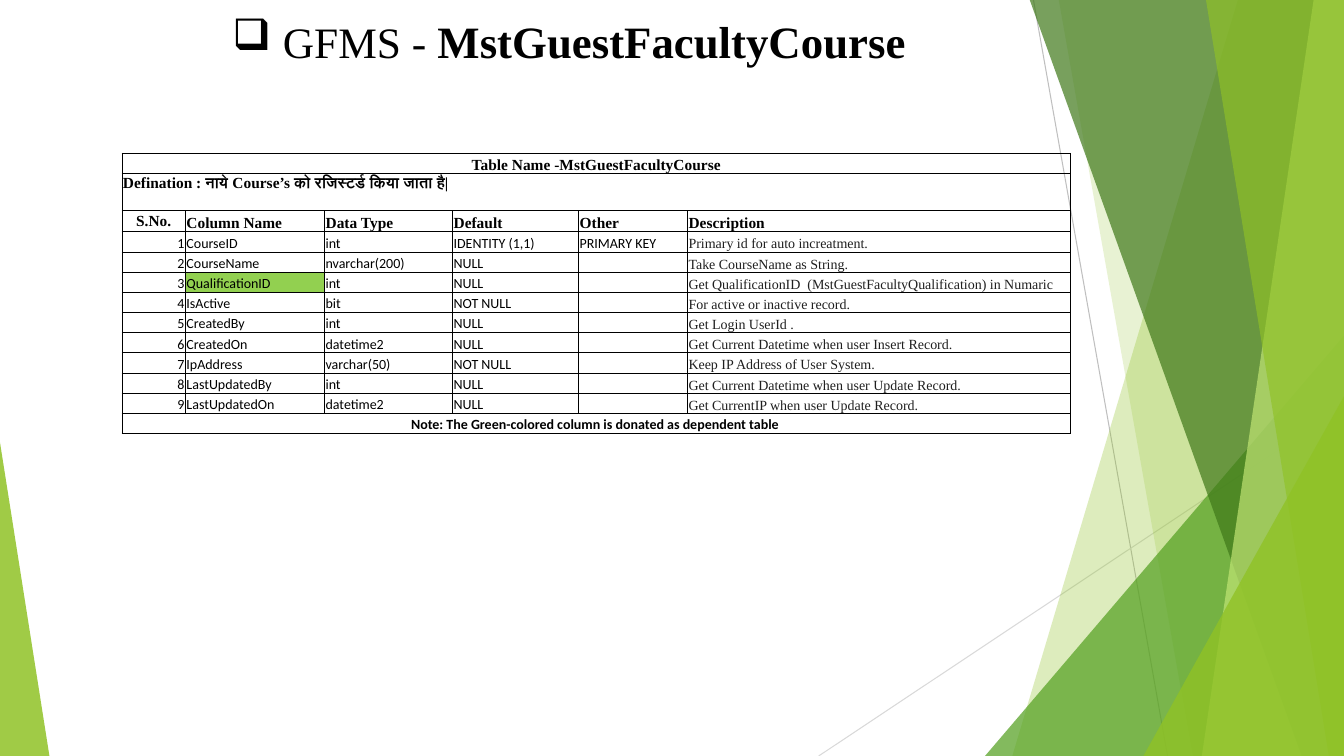
from dataclasses import dataclass

from lxml import etree
from pptx import Presentation
from pptx.dml.color import RGBColor
from pptx.enum.shapes import MSO_CONNECTOR as Connector, MSO_SHAPE as Preset
from pptx.enum.text import MSO_ANCHOR as Anchor, MSO_AUTO_SIZE as AutoSize, PP_ALIGN as Align
from pptx.oxml import parse_xml
from pptx.oxml.ns import nsdecls, qn
from pptx.util import Pt

PX = 9144  # EMU in one px, 100 px to the inch
WIDTH, HEIGHT = 1333, 750

BLACK = RGBColor(0x00, 0x00, 0x00)
INK = RGBColor(0x1F, 0x1F, 0x1F)
LIGHT_GRAY = RGBColor(0xBF, 0xBF, 0xBF)
PALE_GRAY = RGBColor(0xD9, 0xD9, 0xD9)
LIME = RGBColor(0x90, 0xC2, 0x26)
GREEN = RGBColor(0x54, 0xA0, 0x21)
FOREST = RGBColor(0x3F, 0x78, 0x19)
PALE_LIME = RGBColor(0xC0, 0xE4, 0x74)
HIGHLIGHT = RGBColor(0x92, 0xD0, 0x50)
SERIF, SANS = "Times New Roman", "Calibri"


@dataclass
class Ray:
    start: tuple[int, int]
    end: tuple[int, int]
    color: RGBColor


@dataclass
class Band:
    """A facet running down to the right edge of the slide."""
    top_x: int
    bottom_x: int
    color: RGBColor
    opacity: int


@dataclass
class Corner:
    left: int
    top: int
    width: int
    apex: int
    color: RGBColor
    opacity: int


@dataclass
class CellStyle:
    size: int
    font: str
    color: RGBColor = BLACK
    bold: bool = False
    align: Align = Align.LEFT
    anchor: Anchor = Anchor.BOTTOM


DECORATION = [
    Ray((1025, 0), (1158, 750), LIGHT_GRAY),
    Ray((1333, 403), (812, 750), PALE_GRAY),
    Band(1228, 1004, LIME, 30),
    Band(1050, 1183, LIME, 20),
    Corner(977, 333, 356, 1, GREEN, 72),
    Band(1021, 1291, FOREST, 70),
    Band(1303, 1192, PALE_LIME, 70),
    Band(1196, 1318, LIME, 65),
    Corner(1134, 393, 199, 1, LIME, 80),
    Corner(0, 439, 49, 0, LIME, 85),
]

COLUMN_WIDTHS = [63, 138, 127, 125, 108, 380]
ROW_HEIGHTS = [20, 37, 21] + [20] * 10
HEADINGS = ["S.No.", "Column Name", "Data Type", "Default", "Other", "Description"]
FIELDS = [
    ("CourseID", "int", "IDENTITY (1,1)", "PRIMARY KEY", "Primary id for auto increatment."),
    ("CourseName", "nvarchar(200)", "NULL", "", "Take CourseName as String."),
    ("QualificationID", "int", "NULL", "",
     "Get QualificationID  (MstGuestFacultyQualification) in Numaric"),
    ("IsActive", "bit", "NOT NULL", "", "For active or inactive record."),
    ("CreatedBy", "int", "NULL", "", "Get Login UserId ."),
    ("CreatedOn", "datetime2", "NULL", "", "Get Current Datetime when user Insert Record."),
    ("IpAddress", "varchar(50)", "NOT NULL", "", "Keep IP Address of User System."),
    ("LastUpdatedBy", "int", "NULL", "", "Get Current Datetime when user Update Record."),
    ("LastUpdatedOn", "datetime2", "NULL", "", "Get CurrentIP when user Update Record."),
]
CAPTION = CellStyle(11, SERIF, bold=True, align=Align.CENTER)
DEFINITION = CellStyle(11, SERIF, bold=True, anchor=Anchor.TOP)
NUMBER_HEADING = CellStyle(11, SERIF, bold=True, align=Align.CENTER, anchor=Anchor.MIDDLE)
HEADING = CellStyle(11, SERIF, bold=True)
NUMBER = CellStyle(10, SANS, align=Align.RIGHT)
VALUE = CellStyle(10, SANS)
DESCRIPTION = CellStyle(10, SERIF, INK)
NOTE = CellStyle(10, SANS, bold=True, align=Align.CENTER)


def paint(shape, color: RGBColor, opacity: int) -> None:
    shape.shadow.inherit = False
    shape.line.fill.background()
    shape.fill.solid()
    shape.fill.fore_color.rgb = color
    tint = shape.fill._xPr.find(qn("a:solidFill"))[0]
    etree.SubElement(tint, qn("a:alpha")).set("val", str(opacity * 1000))


def draw_ray(slide, ray: Ray) -> None:
    ends = [value * PX for value in ray.start + ray.end]
    connector = slide.shapes.add_connector(Connector.STRAIGHT, *ends)
    connector.line.color.rgb = ray.color
    connector.line.width = Pt(0.75)
    etree.SubElement(connector._element.spPr, qn("a:effectLst"))


def draw_band(slide, band: Band) -> None:
    builder = slide.shapes.build_freeform(band.top_x, -1, scale=PX)
    builder.add_line_segments([(WIDTH, -1), (WIDTH, HEIGHT), (band.bottom_x, HEIGHT)])
    paint(builder.convert_to_shape(), band.color, band.opacity)


def draw_corner(slide, corner: Corner) -> None:
    box = (corner.left, corner.top, corner.width, HEIGHT - corner.top)
    shape = slide.shapes.add_shape(Preset.ISOSCELES_TRIANGLE, *[value * PX for value in box])
    shape.adjustments[0] = corner.apex
    paint(shape, corner.color, corner.opacity)


def write_title(slide) -> None:
    title = slide.shapes.title
    title.left, title.top, title.width, title.height = [n * PX for n in (156, 8, 828, 64)]
    text_frame = title.text_frame
    text_frame.word_wrap = True
    text_frame.auto_size = AutoSize.NONE
    text_frame.vertical_anchor = Anchor.MIDDLE
    paragraph = text_frame.paragraphs[0]
    paragraph.alignment = Align.CENTER
    for text, size, bold in [("GFMS -", 31, False), (" MstGuestFacultyCourse", 32, True),
                             (" ", 31, False)]:
        run = paragraph.add_run()
        run.text = text
        font = run.font
        font.name, font.size, font.bold = SERIF, Pt(size), bold
        font.color.rgb = BLACK
    properties = paragraph._p.get_or_add_pPr()
    properties.set("marL", str(50 * PX))
    properties.set("indent", str(-50 * PX))
    etree.SubElement(properties, qn("a:buChar")).set("char", "❑")


def frame_cell(cell) -> None:
    """Give a cell thin black borders, small margins and no fill."""
    cell.margin_left = cell.margin_top = cell.margin_right = PX
    cell.margin_bottom = 0
    properties = cell._tc.get_or_add_tcPr()
    for side in "LRTB":
        properties.append(parse_xml(
            f'<a:ln{side} {nsdecls("a")} w="6350"><a:solidFill><a:srgbClr val="{BLACK}"/>'
            f'</a:solidFill></a:ln{side}>'))
    cell.fill.background()
    end = etree.SubElement(cell.text_frame.paragraphs[0]._p, qn("a:endParaRPr"))
    end.set("sz", "1000")


def write_cell(cell, text: str, style: CellStyle) -> None:
    cell.vertical_anchor = style.anchor
    if not text:
        return
    paragraph = cell.text_frame.paragraphs[0]
    paragraph.text = text
    paragraph.alignment = style.align
    font = paragraph.runs[0].font
    font.name, font.size, font.bold = style.font, Pt(style.size), style.bold
    font.color.rgb = style.color


def draw_table(slide) -> None:
    box = (121, 152, sum(COLUMN_WIDTHS), sum(ROW_HEIGHTS))
    table = slide.shapes.add_table(len(ROW_HEIGHTS), len(COLUMN_WIDTHS),
                                   *[value * PX for value in box]).table
    table.first_row = table.horz_banding = False
    for column, width in zip(table.columns, COLUMN_WIDTHS):
        column.width = width * PX
    for row, height in zip(table.rows, ROW_HEIGHTS):
        row.height = height * PX
    for cell in table.iter_cells():
        frame_cell(cell)

    # Rows across the full width
    last_row, last_column = len(ROW_HEIGHTS) - 1, len(COLUMN_WIDTHS) - 1
    for row, text, style in [
        (0, "Table Name -MstGuestFacultyCourse", CAPTION),
        (1, "Defination : नाये Course’s को रजिस्टर्ड किया जाता है|", DEFINITION),
        (last_row, "Note: The Green-colored column is donated as dependent table ", NOTE),
    ]:
        table.cell(row, 0).merge(table.cell(row, last_column))
        write_cell(table.cell(row, 0), text, style)

    # Headings and fields
    for column, text in enumerate(HEADINGS):
        write_cell(table.cell(2, column), text, HEADING if column else NUMBER_HEADING)
    styles = [NUMBER] + [VALUE] * 4 + [DESCRIPTION]
    for number, field in enumerate(FIELDS, 1):
        for column, (text, style) in enumerate(zip((str(number), *field), styles)):
            cell = table.cell(number + 2, column)
            write_cell(cell, text, style)
            if text == "QualificationID":
                cell.fill.solid()
                cell.fill.fore_color.rgb = HIGHLIGHT


def main() -> None:
    presentation = Presentation()
    presentation.slide_width, presentation.slide_height = WIDTH * PX, HEIGHT * PX
    slide = presentation.slides.add_slide(presentation.slide_layouts[5])
    painters = {Ray: draw_ray, Band: draw_band, Corner: draw_corner}
    for part in DECORATION:
        painters[type(part)](slide, part)
    write_title(slide)
    draw_table(slide)
    presentation.save("out.pptx")


if __name__ == "__main__":
    main()
